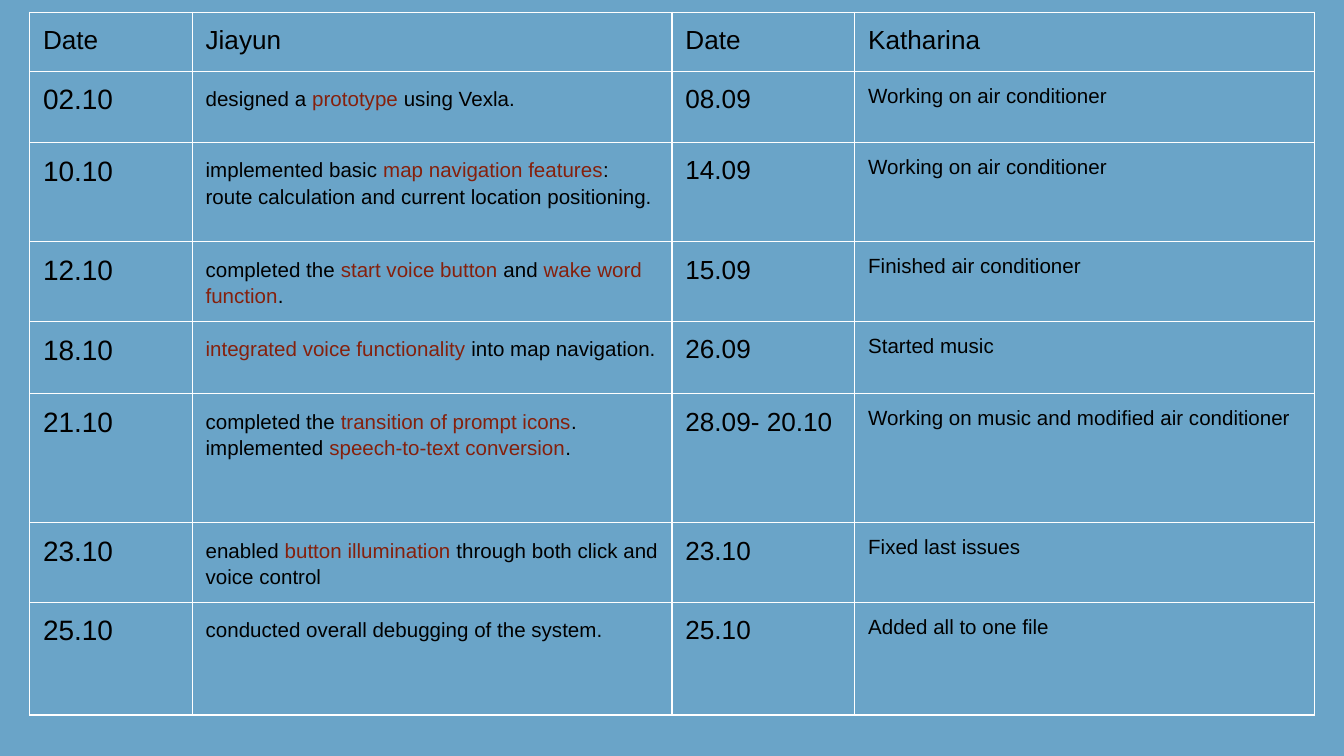
from lxml import etree
from pptx import Presentation
from pptx.dml.color import RGBColor
from pptx.oxml.ns import qn
from pptx.util import Inches, Pt

COLORS = {"background": "6AA4C8", "border": "FFFFFF", "text": "000000", "highlight": "85200C"}
FONT = "Arial"
COLUMN_WIDTHS = [1.21, 3.57, 1.36, 3.42]
ROW_HEIGHTS = [0.44, 0.53, 0.74, 0.52, 0.54, 0.96, 0.52, 0.84]
HEADER_SIZE = 14
COLUMN_SIZES = [15, 11, 14, 11]
COLUMN_SPACING = [None, 1.15, None, None]

# Asterisks enclose highlighted words; a line break starts a new paragraph.
WORK_LOG = [
    ("Date", "Jiayun", "Date", "Katharina"),
    ("02.10", "designed a *prototype *using Vexla.", "08.09", "Working on air conditioner"),
    ("10.10", "implemented basic *map navigation features*: route calculation "
     "and current location positioning.", "14.09", "Working on air conditioner"),
    ("12.10", "completed the *start voice button *and *wake word function*.",
     "15.09", "Finished air conditioner"),
    ("18.10", "*integrated voice functionality* into map navigation.", "26.09", "Started music"),
    ("21.10", "completed the* transition of prompt icons*.\n"
     "implemented *speech-to-text conversion*.",
     "28.09- 20.10", "Working on music and modified air conditioner"),
    ("23.10", "enabled *button illumination* through both click and voice control",
     "23.10", "Fixed last issues"),
    ("25.10", "conducted overall debugging of the system.", "25.10", "Added all to one file"),
]


def add_borders(cell):
    properties = cell._tc.get_or_add_tcPr()
    for side in ("a:lnL", "a:lnR", "a:lnT", "a:lnB"):
        line = etree.SubElement(properties, qn(side), w=str(Pt(0.75)))
        fill = etree.SubElement(line, qn("a:solidFill"))
        etree.SubElement(fill, qn("a:srgbClr"), val=COLORS["border"])


def write_text(cell, text, size, spacing):
    """Fill the cell, turning asterisk pairs into highlighted runs."""
    frame = cell.text_frame
    for line_number, line in enumerate(text.split("\n")):
        paragraph = frame.add_paragraph() if line_number else frame.paragraphs[0]
        if spacing:
            paragraph.line_spacing = spacing
        for part_number, part in enumerate(line.split("*")):
            if not part:
                continue
            run = paragraph.add_run()
            run.text = part
            run.font.name = FONT
            run.font.size = Pt(size)
            run.font.bold = False
            color = "highlight" if part_number % 2 else "text"
            run.font.color.rgb = RGBColor.from_string(COLORS[color])


prs = Presentation()
prs.slide_width = Inches(10)
prs.slide_height = Inches(10 * 9 / 16)
slide = prs.slides.add_slide(prs.slide_layouts[6])
slide.background.fill.solid()
slide.background.fill.fore_color.rgb = RGBColor.from_string(COLORS["background"])

schedule = slide.shapes.add_table(
    len(ROW_HEIGHTS), len(COLUMN_WIDTHS), Inches(0.22), Inches(0.09),
    Inches(sum(COLUMN_WIDTHS)), Inches(sum(ROW_HEIGHTS))).table
schedule.first_row = False
schedule.horz_banding = False
for column, width in zip(schedule.columns, COLUMN_WIDTHS):
    column.width = Inches(width)
for row, height in zip(schedule.rows, ROW_HEIGHTS):
    row.height = Inches(height)

for row_number, entries in enumerate(WORK_LOG):
    for column_number, entry in enumerate(entries):
        cell = schedule.cell(row_number, column_number)
        cell.margin_left = cell.margin_right = Inches(0.1)
        cell.margin_top = cell.margin_bottom = Inches(0.1)
        add_borders(cell)
        cell.fill.background()
        if row_number == 0:
            write_text(cell, entry, HEADER_SIZE, None)
        else:
            write_text(cell, entry, COLUMN_SIZES[column_number], COLUMN_SPACING[column_number])

prs.save("out.pptx")
